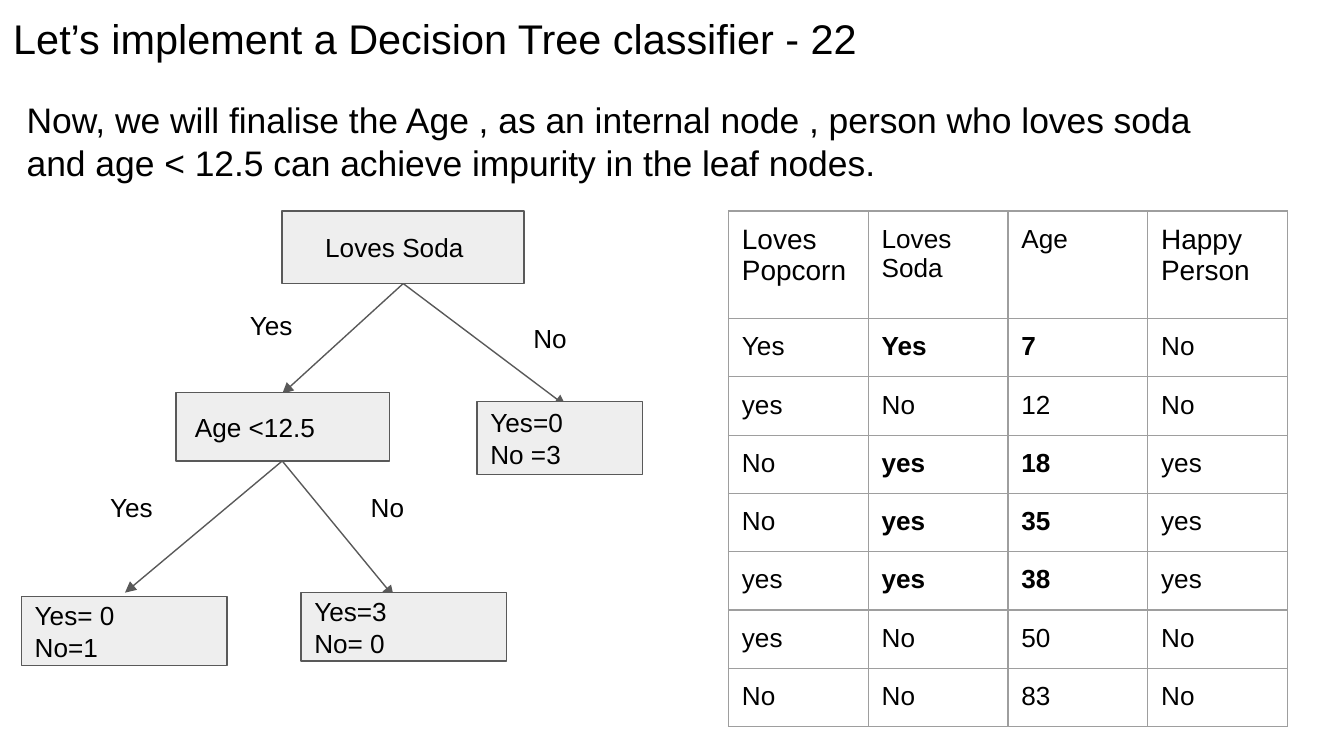
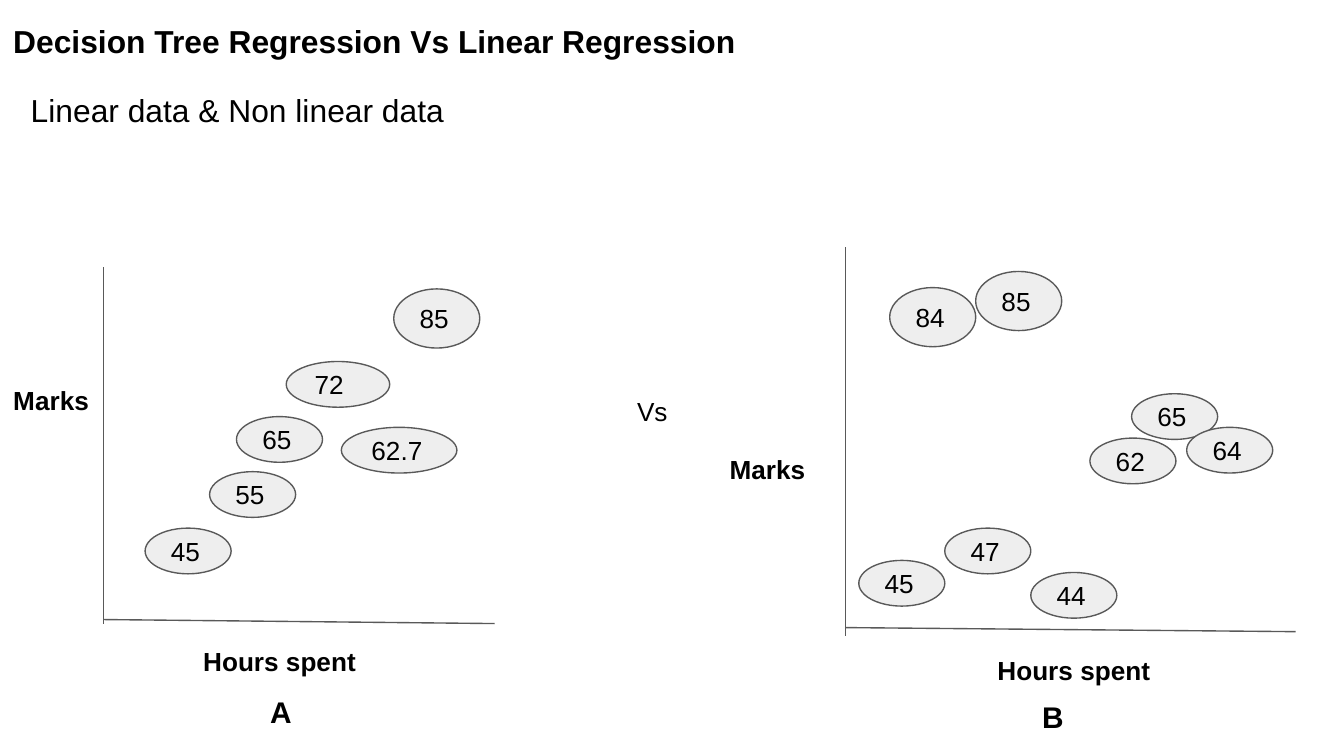
from dataclasses import dataclass

from lxml.etree import SubElement
from pptx import Presentation
from pptx.dml.color import RGBColor
from pptx.enum.shapes import MSO_CONNECTOR as Connector, MSO_SHAPE as Shape
from pptx.enum.text import MSO_ANCHOR as Anchor, PP_ALIGN as Align
from pptx.oxml.ns import qn
from pptx.util import Inches, Pt


@dataclass(frozen=True)
class Theme:
    font: str = "Arial"
    ink: str = "000000"
    fill: str = "EEEEEE"
    outline: str = "595959"
    grid: str = "9E9E9E"
    hairline: float = 0.75
    inset: float = 0.1
    title: float = 22.2
    body: float = 19
    heading: float = 17
    caption: float = 16
    header: float = 15
    label: float = 14


THEME = Theme()
BLANK_LAYOUT = 6
SLIDE_WIDTH = 10
SLIDE_HEIGHT = SLIDE_WIDTH * 9 / 16

TRAINING_DATA = [
    ("Loves Popcorn", "Loves Soda", "Age", "Happy Person"),
    ("Yes", "Yes", "7", "No"),
    ("yes", "No", "12", "No"),
    ("No", "yes", "18", "yes"),
    ("No", "yes", "35", "yes"),
    ("yes", "yes", "38", "yes"),
    ("yes", "No", "50", "No"),
    ("No", "No", "83", "No"),
]
SODA, AGE = 1, 2

# Marks as (text, left, top, width, height)
LINEAR_MARKS = [
    ("45", 1.08, 3.93, 0.64, 0.34),
    ("55", 1.56, 3.51, 0.64, 0.34),
    ("65", 1.76, 3.1, 0.64, 0.34),
    ("62.7", 2.54, 3.18, 0.86, 0.34),
    ("72", 2.13, 2.69, 0.77, 0.34),
    ("85", 2.93, 2.15, 0.64, 0.44),
]
NON_LINEAR_MARKS = [
    ("45", 6.39, 4.17, 0.64, 0.34),
    ("47", 7.03, 3.93, 0.64, 0.34),
    ("44", 7.67, 4.26, 0.64, 0.34),
    ("65", 8.42, 2.93, 0.64, 0.34),
    ("64", 8.83, 3.18, 0.64, 0.34),
    ("62", 8.11, 3.26, 0.64, 0.34),
    ("85", 7.26, 2.02, 0.64, 0.44),
    ("84", 6.62, 2.14, 0.64, 0.44),
]


def inches(*lengths):
    return [Inches(length) for length in lengths]


def write(frame, text, size=THEME.label, bold=False, align=Align.LEFT, spacing=None):
    """Fill a text frame, one paragraph for each line of text."""
    for index, line in enumerate(text.split("\n")):
        paragraph = frame.add_paragraph() if index else frame.paragraphs[0]
        paragraph.alignment = align
        if spacing:
            paragraph.line_spacing = spacing
        run = paragraph.add_run()
        run.text = line
        run.font.name = THEME.font
        run.font.size = Pt(size)
        run.font.bold = bold
        run.font.color.rgb = RGBColor.from_string(THEME.ink)


def set_margins(holder, indent=0):
    """Give a text frame or table cell its insets, with extra room on the left."""
    holder.margin_left = Inches(THEME.inset + indent)
    holder.margin_right = holder.margin_top = holder.margin_bottom = Inches(THEME.inset)


def add_label(slide, text, left, top, width, height=0.44, indent=0, **text_format):
    frame = slide.shapes.add_textbox(*inches(left, top, width, height)).text_frame
    frame.word_wrap = True
    set_margins(frame, indent)
    write(frame, text, **text_format)


def add_node(slide, text, left, top, width, height, outline=Shape.RECTANGLE, indent=0):
    node = slide.shapes.add_shape(outline, *inches(left, top, width, height))
    node.shadow.inherit = False
    node.fill.solid()
    node.fill.fore_color.rgb = RGBColor.from_string(THEME.fill)
    node.line.color.rgb = RGBColor.from_string(THEME.outline)
    node.line.width = Pt(THEME.hairline)
    frame = node.text_frame
    frame.word_wrap = True
    frame.vertical_anchor = Anchor.MIDDLE
    set_margins(frame, indent)
    write(frame, text)


def add_line(slide, start, end, arrow=False):
    line = slide.shapes.add_connector(Connector.STRAIGHT, *inches(*start, *end))
    line.line.color.rgb = RGBColor.from_string(THEME.outline)
    line.line.width = Pt(THEME.hairline)
    if arrow:
        SubElement(line.line._get_or_add_ln(), qn("a:tailEnd"), type="triangle")
    SubElement(line._element.spPr, qn("a:effectLst"))


def add_borders(cell):
    properties = cell._tc.get_or_add_tcPr()
    for side in ("lnL", "lnR", "lnT", "lnB"):
        border = SubElement(properties, qn(f"a:{side}"), w=str(Pt(THEME.hairline)))
        SubElement(SubElement(border, qn("a:solidFill")), qn("a:srgbClr"), val=THEME.grid)


def add_data_table(slide, rows, left, top, width, height, header_height):
    table = slide.shapes.add_table(
        len(rows), len(rows[0]), *inches(left, top, width, height)
    ).table
    table.first_row = table.horz_banding = False
    for column in table.columns:
        column.width = Inches(width / len(rows[0]))
    body_height = (height - header_height) / (len(rows) - 1)
    for index, row in enumerate(table.rows):
        row.height = Inches(body_height if index else header_height)
    for r, record in enumerate(rows):
        loves_soda = r > 0 and record[SODA].lower() == "yes"
        for c, value in enumerate(record):
            on_path = c in (SODA, AGE)
            cell = table.cell(r, c)
            add_borders(cell)
            cell.fill.background()
            set_margins(cell)
            size = THEME.label if r or on_path else THEME.header
            write(cell.text_frame, value, size=size, bold=loves_soda and on_path)


def add_axes(slide, x, top, bottom, baseline, right):
    """Draw a vertical axis and a baseline that dips slightly to the right."""
    add_line(slide, (x, top), (x, bottom))
    add_line(slide, (x, baseline), (right, baseline + 0.03))


def add_marks(slide, marks):
    for text, *place in marks:
        add_node(slide, text, *place, outline=Shape.OVAL)


def build_classifier_slide(slide):
    add_label(slide, "Let’s implement a Decision Tree classifier - 22",
              0, 0, 9.32, 0.63, size=THEME.title)
    add_label(slide, "Now, we will finalise the Age , as an internal node , person who "
              "loves soda and age < 12.5 can achieve impurity in the leaf nodes.",
              0.1, 0.63, 9.13, 1.1, size=THEME.body)

    soda_exit, age_exit = (3, 2.11), (2.1, 3.43)
    for start, end in [
        (soda_exit, (2.1, 2.93)),
        (soda_exit, (4.21, 3.02)),
        (age_exit, (0.93, 4.41)),
        (age_exit, (2.93, 4.44)),
    ]:
        add_line(slide, start, end, arrow=True)

    add_node(slide, "Loves Soda", 2.1, 1.57, 1.8, 0.54, indent=0.22)
    add_node(slide, "Age <12.5", 1.31, 2.92, 1.59, 0.51, indent=0.04)
    add_node(slide, "Yes=0\nNo =3", 3.55, 2.99, 1.23, 0.54)
    add_node(slide, "Yes= 0\nNo=1", 0.16, 4.44, 1.53, 0.51)
    add_node(slide, "Yes=3\nNo= 0", 2.24, 4.41, 1.53, 0.51)

    for answer, left, top, width in [
        ("Yes", 1.76, 2.2, 0.69),
        ("No", 3.87, 2.3, 0.69),
        ("Yes", 0.72, 3.56, 0.59),
        ("No", 2.66, 3.56, 0.69),
    ]:
        add_label(slide, answer, left, top, width)

    add_data_table(slide, TRAINING_DATA, 5.42, 1.57, 4.16, 3.83, header_height=0.8)


def build_regression_slide(slide):
    add_label(slide, "Decision Tree Regression Vs Linear Regression",
              0, 0.06, 8.98, 0.49, size=THEME.heading, bold=True)
    add_label(slide, "Linear data & Non linear data",
              0.13, 0.61, 9.55, 0.57, size=THEME.heading, spacing=0.9)
    add_label(slide, "Vs", 4.59, 2.84, 0.64, indent=0.05)

    add_axes(slide, 0.77, top=1.99, bottom=4.64, baseline=4.61, right=3.68)
    add_axes(slide, 6.29, top=1.84, bottom=4.73, baseline=4.67, right=9.64)
    add_marks(slide, LINEAR_MARKS)
    add_marks(slide, NON_LINEAR_MARKS)

    add_label(slide, "Marks", 0, 2.76, 0.78, bold=True)
    add_label(slide, "Marks", 5.33, 3.27, 0.86, bold=True)
    centred = {"bold": True, "align": Align.CENTER}
    add_label(slide, "Hours spent", 1.17, 4.7, 1.82, **centred)
    add_label(slide, "Hours spent", 6.35, 4.77, 3.28, **centred)
    add_label(slide, "A", 1.66, 5.06, 0.86, 0.47, size=THEME.caption, **centred)
    add_label(slide, "B", 7.45, 5.1, 0.77, 0.47, size=THEME.caption, **centred)


def main():
    deck = Presentation()
    deck.slide_width, deck.slide_height = inches(SLIDE_WIDTH, SLIDE_HEIGHT)
    for build in (build_classifier_slide, build_regression_slide):
        build(deck.slides.add_slide(deck.slide_layouts[BLANK_LAYOUT]))
    deck.save("out.pptx")


if __name__ == "__main__":
    main()
